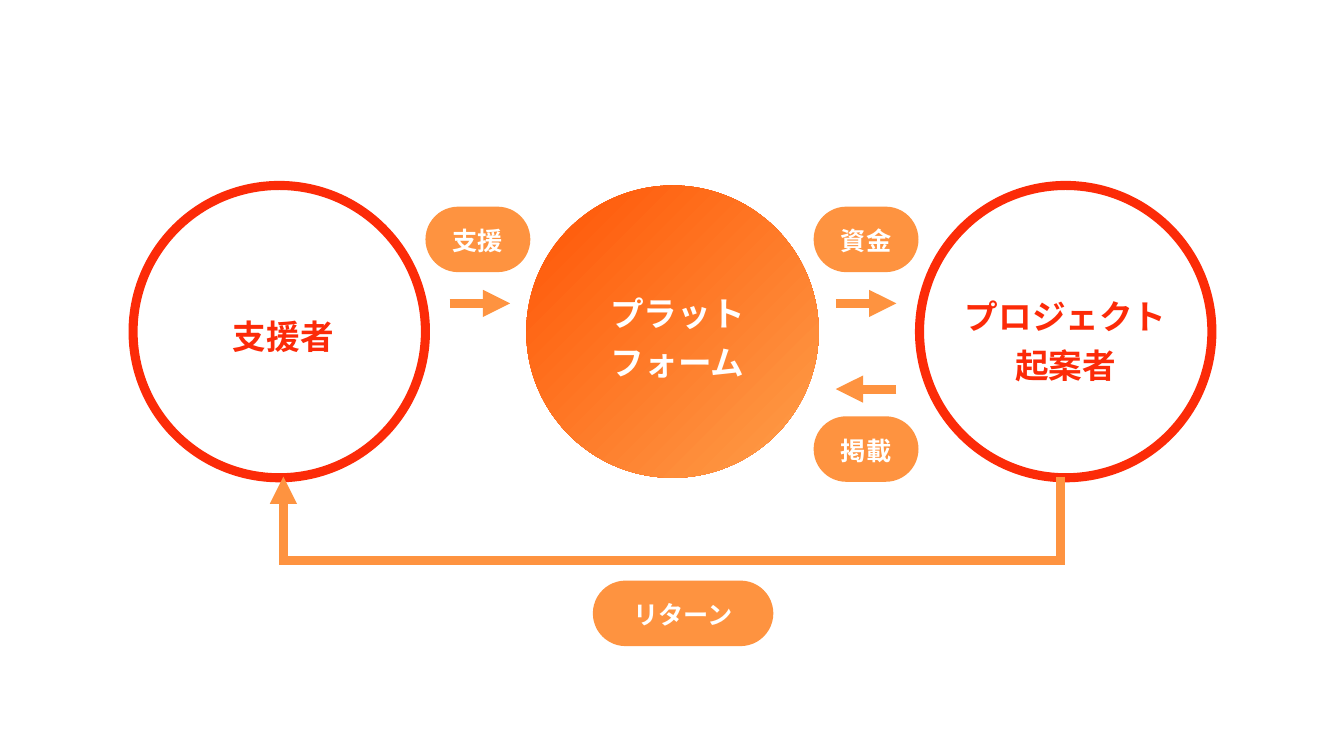
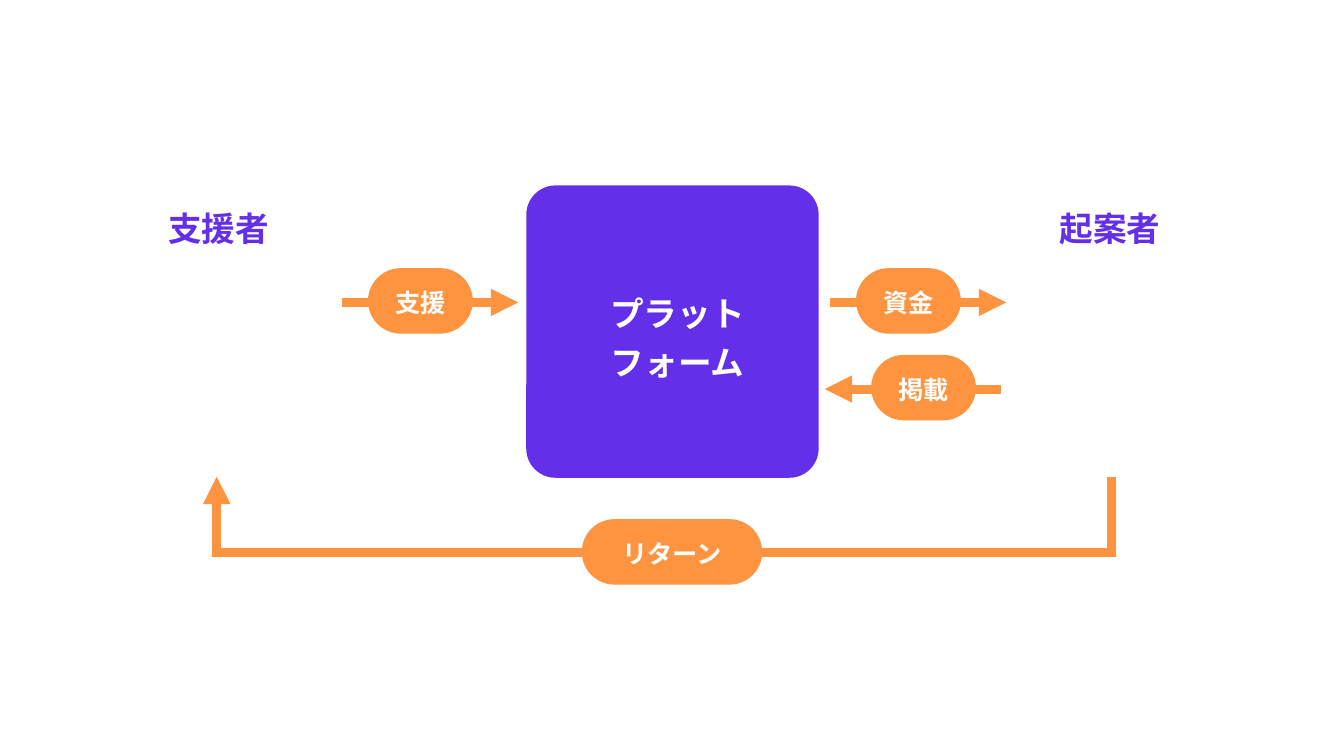
from pptx import Presentation
from pptx.dml.color import RGBColor
from pptx.enum.shapes import MSO_CONNECTOR, MSO_SHAPE
from pptx.enum.text import MSO_ANCHOR, MSO_AUTO_SIZE, PP_ALIGN
from pptx.oxml.ns import qn
from pptx.util import Inches, Pt
from lxml.etree import SubElement

ORANGE, RED, VIOLET, WHITE = "FE9340", "FC2B08", "642FE9", "FFFFFF"
FONT = "Noto Sans CJK JP"
STROKE = 6.5
NODE = 2.9      # side of a main node
TOP = 1.84      # top of the main nodes
MID = 5.22      # left of the platform node


def color(code):
    return RGBColor.from_string(code)


class Deck:
    """Holds the shared style and the current slide."""

    def __init__(self):
        self.prs = Presentation()
        self.prs.slide_width = Inches(13.33)
        self.prs.slide_height = Inches(7.5)

    def page(self):
        self.slide = self.prs.slides.add_slide(self.prs.slide_layouts[6])

    def shape(self, kind, x, y, w, h, fill=None, line=None, adj=None):
        item = self.slide.shapes.add_shape(
            kind, Inches(x), Inches(y), Inches(w), Inches(h))
        item.shadow.inherit = False
        if adj is not None:
            item.adjustments[0] = adj
        if fill:
            item.fill.solid()
            item.fill.fore_color.rgb = color(fill)
        else:
            item.fill.background()
        if line:
            self.stroke(item, line)
        else:
            item.line.fill.background()
        return item

    def stroke(self, item, code):
        item.line.color.rgb = color(code)
        item.line.width = Pt(STROKE)

    def tip(self, item):
        """Square corners and an arrowhead at the end of a line."""
        ln = item.line._get_or_add_ln()
        SubElement(ln, qn("a:miter"), lim="800000")
        SubElement(ln, qn("a:tailEnd"), type="triangle")

    def letter(self, frame, text, size, code):
        frame.word_wrap = True
        frame.auto_size = MSO_AUTO_SIZE.SHAPE_TO_FIT_TEXT
        frame.text = text
        para = frame.paragraphs[0]
        para.alignment = PP_ALIGN.CENTER
        para.line_spacing = 1.2
        for run in para.runs:
            font = run.font
            font.name, font.size, font.bold = FONT, Pt(size), True
            font.color.rgb = color(code)
            SubElement(run._r.get_or_add_rPr(), qn("a:ea"), typeface=FONT)

    def label(self, text, x, y, code, h=0.54):
        box = self.slide.shapes.add_textbox(
            Inches(x), Inches(y), Inches(2.4), Inches(h))
        self.letter(box.text_frame, text, 24, code)

    def ring(self, x):
        self.shape(MSO_SHAPE.OVAL, x, TOP, NODE, NODE, WHITE, RED)

    def hub(self, kind, fill, adj=None):
        """The platform node in the middle."""
        item = self.shape(kind, MID, TOP, NODE, NODE, fill, adj=adj)
        self.label("プラット\vフォーム", 5.52, 2.78, WHITE, 1.03)
        return item

    def fade(self, item, start, end):
        item.fill.gradient()
        item.fill.gradient_angle = 315
        stops = item.fill.gradient_stops
        for stop, code, place in zip(stops, (start, end), (0.01, 1)):
            stop.color.rgb = color(code)
            stop.position = place

    def pill(self, text, x, y, w=1.04):
        item = self.shape(MSO_SHAPE.ROUNDED_RECTANGLE, x, y, w, 0.65,
                          ORANGE, adj=0.5)
        frame = item.text_frame
        frame.margin_bottom = Inches(0.08)
        frame.vertical_anchor = MSO_ANCHOR.MIDDLE
        self.letter(frame, text, 18, WHITE)

    def arrow(self, start, end, y):
        item = self.slide.shapes.add_connector(
            MSO_CONNECTOR.STRAIGHT, Inches(start), Inches(y),
            Inches(end), Inches(y))
        self.stroke(item, ORANGE)
        self.tip(item)
        SubElement(item._element.spPr, qn("a:effectLst"))

    def loop(self, x, y, w, h):
        """The return route: down, left and up again, as a turned bracket."""
        item = self.shape(MSO_SHAPE.LEFT_BRACKET, x + (w - h) / 2,
                          y + (h - w) / 2, h, w, line=ORANGE, adj=0)
        item.rotation = 90
        frame = item._element.spPr.xfrm
        frame.set("flipH", "1")
        frame.set("flipV", "1")
        self.tip(item)


def circles(deck):
    deck.page()
    # Nodes
    for x in (1.32, 9.12):
        deck.ring(x)
    deck.fade(deck.hub(MSO_SHAPE.OVAL, ORANGE), "FF5505", "FE9F4B")
    deck.label("支援者", 1.61, 3.01, RED)
    deck.label("プロジェクト\v起案者", 9.37, 2.81, RED, 1.03)
    # Flows
    for start, end, y in ((4.46, 5.06, 3.01), (8.29, 8.89, 3.01),
                          (8.89, 8.29, 3.86)):
        deck.arrow(start, end, y)
    deck.loop(2.81, 4.73, 7.71, 0.83)
    # Flow names
    for text, x, y in (("支援", 4.22, 2.05), ("資金", 8.07, 2.05),
                       ("掲載", 8.07, 4.13)):
        deck.pill(text, x, y)
    deck.pill("リターン", 5.88, 5.76, 1.79)


def square(deck):
    deck.page()
    # Nodes
    deck.hub(MSO_SHAPE.ROUNDED_RECTANGLE, VIOLET, 0.1)
    deck.label("支援者", 0.97, 1.93, VIOLET)
    deck.label("起案者", 9.81, 1.93, VIOLET)
    # Flows with their names on top
    deck.loop(2.15, 4.73, 8.87, 0.75)
    deck.pill("リターン", 5.77, 5.15, 1.79)
    for text, x, start, end, y in (("支援", 3.65, 3.39, 5.14, 3),
                                   ("資金", 8.49, 8.23, 9.98, 3),
                                   ("掲載", 8.64, 9.93, 8.18, 3.86)):
        deck.arrow(start, end, y)
        deck.pill(text, x, y - 0.34)


def main():
    deck = Deck()
    circles(deck)
    square(deck)
    deck.prs.save("out.pptx")


if __name__ == "__main__":
    main()
